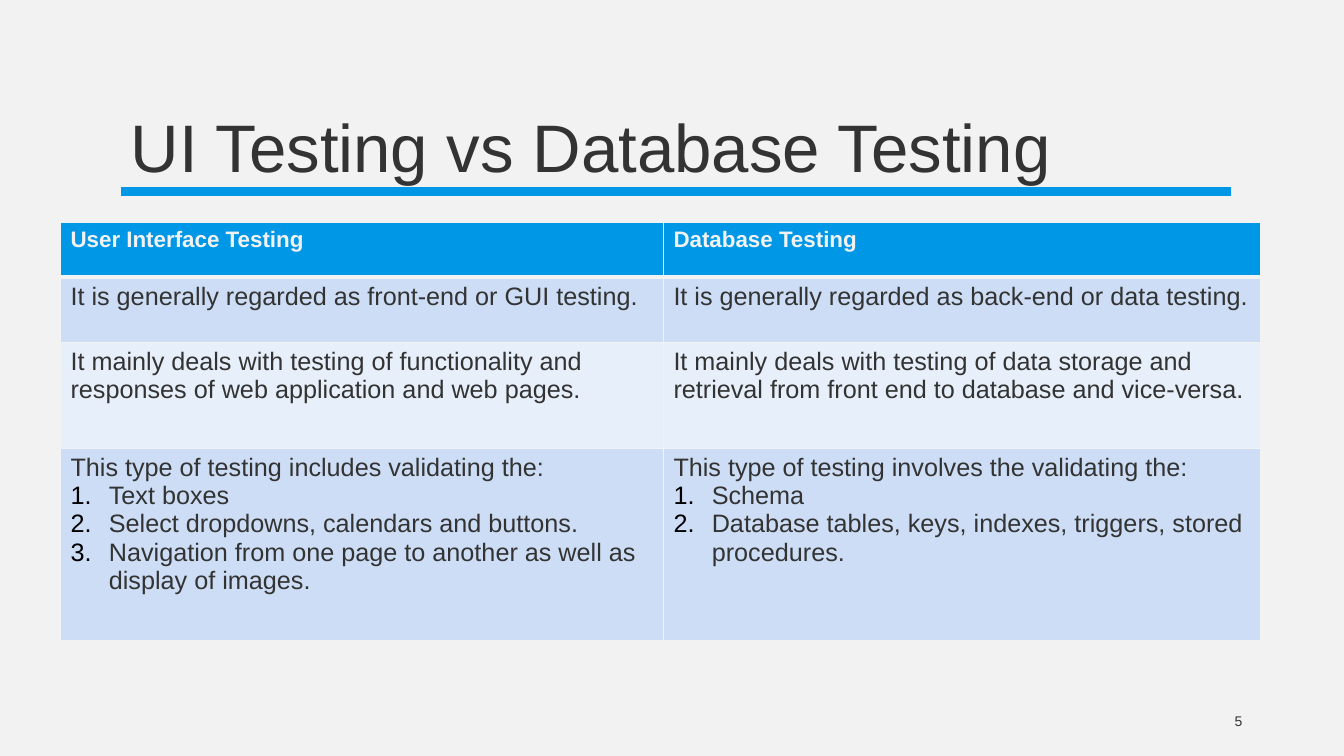
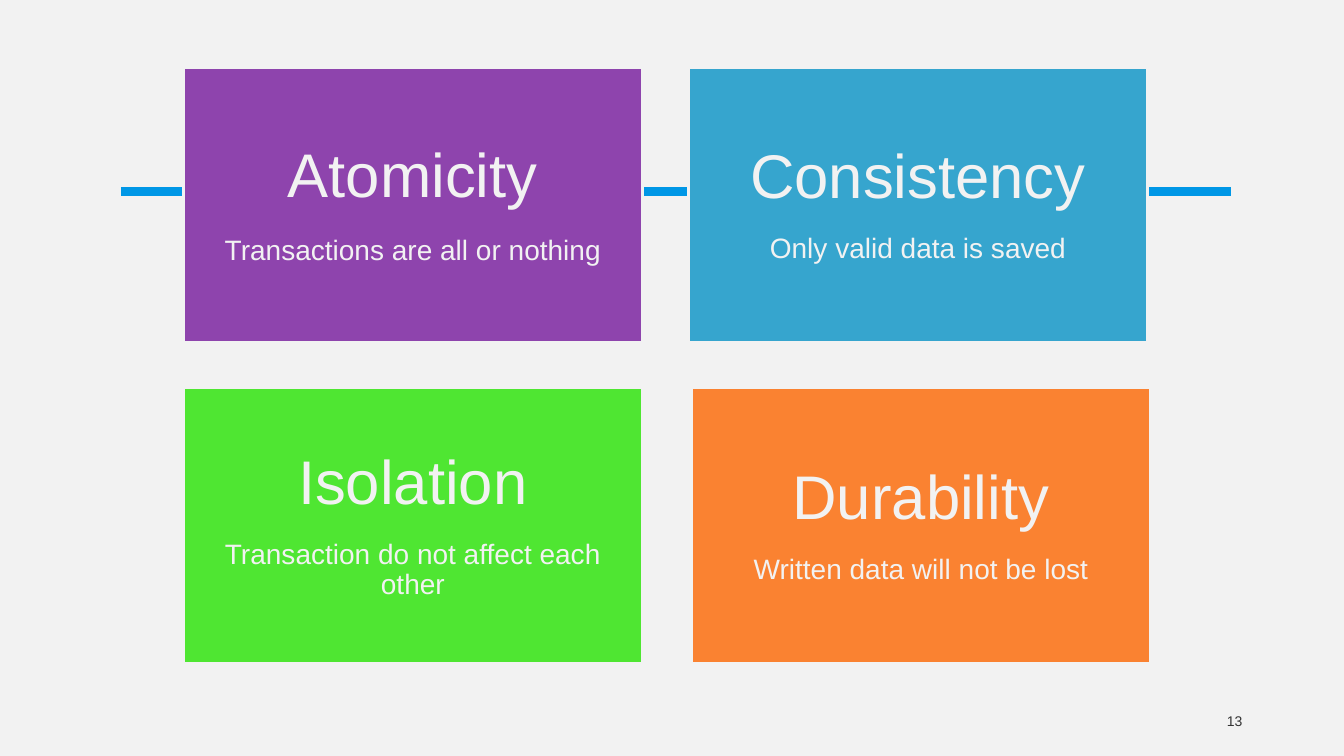
from dataclasses import dataclass
from lxml import etree
from pptx import Presentation
from pptx.dml.color import RGBColor
from pptx.enum.shapes import MSO_CONNECTOR, MSO_SHAPE
from pptx.enum.text import MSO_ANCHOR, PP_ALIGN
from pptx.oxml.ns import qn
from pptx.util import Inches, Pt

LEFT, CENTER, RIGHT = PP_ALIGN.LEFT, PP_ALIGN.CENTER, PP_ALIGN.RIGHT
MIDDLE, BOTTOM = MSO_ANCHOR.MIDDLE, MSO_ANCHOR.BOTTOM
RECT, STRAIGHT = MSO_SHAPE.RECTANGLE, MSO_CONNECTOR.STRAIGHT


@dataclass(frozen=True)
class Theme:
    """Colours, font and type sizes of the deck."""
    font: str = "Arial"
    paper: str = "F2F2F2"
    ink: str = "333333"
    mark: str = "000000"
    accent: str = "0097E6"
    bands: tuple = ("CCDDF5", "E7EFFA")
    title: int = 48
    tile: int = 44
    note: int = 20
    body: int = 18
    head: int = 16
    foot: int = 10


THEME = Theme()


def apply(item, formats):
    """Set each format value on the item."""
    for name, value in formats.items():
        setattr(item, name, value)


def paint(fill, color):
    """Give a fill one solid colour."""
    fill.solid()
    fill.fore_color.rgb = RGBColor.from_string(color)


def write(para, text, size, color, bold=False, **formats):
    """Put one styled run in a paragraph."""
    apply(para, formats)
    run = para.add_run()
    run.text = text
    apply(run.font, {"name": THEME.font, "size": Pt(size), "bold": bold})
    run.font.color.rgb = RGBColor.from_string(color)


def label(slide, box, text, size, anchor, **formats):
    """Add a wrapped line of text in a box."""
    frame = slide.shapes.add_textbox(*map(Inches, box)).text_frame
    apply(frame, {"word_wrap": True, "vertical_anchor": anchor})
    write(frame.paragraphs[0], text, size, THEME.ink, **formats)


def base(deck, number):
    """Add a slide with its background, rule and page number."""
    slide = deck.slides.add_slide(deck.slide_layouts[6])
    paint(slide.background.fill, THEME.paper)
    ends = map(Inches, (1.2, 1.9, 12.21, 1.9))
    rule = slide.shapes.add_connector(STRAIGHT, *ends)
    rule.line.width = Pt(6)
    rule.line.color.rgb = RGBColor.from_string(THEME.accent)
    etree.SubElement(rule._element.spPr, qn("a:effectLst"))
    label(slide, (9.42, 6.95, 3, 0.4), number, THEME.foot, MIDDLE, alignment=RIGHT)
    return slide


def solid(parent, tag, color):
    """Append a colour under a new tag."""
    node = etree.SubElement(parent, qn(tag))
    etree.SubElement(node, qn("a:srgbClr"), val=color)


def border(cell, top, bottom):
    """Draw the four edges of a cell."""
    props = cell._tc.get_or_add_tcPr()
    for side, width in {"L": 1, "R": 1, "T": top, "B": bottom}.items():
        edge = etree.SubElement(props, qn("a:ln" + side), w=str(Pt(width)))
        solid(edge, "a:solidFill", THEME.paper)


def count(para):
    """Number a paragraph with a hanging indent."""
    props = para._p.get_or_add_pPr()
    apply_to = {"marL": Inches(0.38), "indent": -Inches(0.38)}
    for name, value in apply_to.items():
        props.set(name, str(value))
    solid(props, "a:buClr", THEME.mark)
    etree.SubElement(props, qn("a:buFont"), typeface=THEME.font)
    etree.SubElement(props, qn("a:buAutoNum"), type="arabicPeriod")


def fill_cell(cell, lines, row):
    """Style one cell and write its lines, numbering all but the first."""
    head = row == 0
    border(cell, 3 if row == 1 else 1, 3 if head else 1)
    paint(cell.fill, THEME.accent if head else THEME.bands[(row - 1) % 2])
    size = THEME.head if head else THEME.body
    color = THEME.paper if head else THEME.ink
    for index, text in enumerate(lines):
        para = cell.text_frame.add_paragraph() if index else cell.text_frame.paragraphs[0]
        if index:
            count(para)
        write(para, text, size, color, bold=head, alignment=LEFT)


def grid(slide, left, top, widths, heights, rows):
    """Build the table from column widths and row heights."""
    box = map(Inches, (left, top, sum(widths), sum(heights)))
    table = slide.shapes.add_table(len(heights), len(widths), *box).table
    for column, width in zip(table.columns, widths):
        column.width = Inches(width)
    for row, height in zip(table.rows, heights):
        row.height = Inches(height)
    for r, row in enumerate(rows):
        for c, lines in enumerate(row):
            fill_cell(table.cell(r, c), lines, r)


def tile(slide, box, color, name, note, pitch):
    """Draw a coloured tile with a name and a note."""
    shape = slide.shapes.add_shape(RECT, *map(Inches, box))
    shape.shadow.inherit = False
    paint(shape.fill, color)
    paint(shape.line.fill, THEME.paper)
    shape.line.width = Pt(2)
    frame = shape.text_frame
    apply(frame, {"word_wrap": True, "vertical_anchor": MIDDLE})
    apply(frame, {"margin_" + side: Inches(0.18)
                  for side in ("left", "top", "right", "bottom")})
    shared = {"alignment": CENTER, "space_after": Pt(16)}
    write(frame.paragraphs[0], name, THEME.tile, THEME.paper, line_spacing=0.9, **shared)
    write(frame.add_paragraph(), note, THEME.note, THEME.paper, line_spacing=pitch, **shared)


def tiles(slide, left, top, items):
    """Lay the tiles out two to a row."""
    wide, high, gap = 4.55, 2.73, 0.45
    for index, (color, name, note, pitch, shift) in enumerate(items):
        row, column = divmod(index, 2)
        x = left + column * 5.01 + shift
        tile(slide, (x, top + row * (high + gap), wide, high), color, name, note, pitch)


ROWS = [
    (["User Interface Testing"], ["Database Testing"]),
    (["It is generally regarded as front-end or GUI testing."],
     ["It is generally regarded as back-end or data testing."]),
    (["It mainly deals with testing of functionality and responses of web "
      "application and web pages."],
     ["It mainly deals with testing of data storage and retrieval from front end "
      "to database and vice-versa."]),
    (["This type of testing includes validating the:", "Text boxes",
      "Select dropdowns, calendars and buttons.",
      "Navigation from one page to another as well as display of images."],
     ["This type of testing involves the validating the:", "Schema",
      "Database tables, keys, indexes, triggers, stored procedures."]),
]
ACID = [
    ("8E44AD", "Atomicity", "Transactions are all or nothing", 1.0, 0),
    ("36A5CE", "Consistency", "Only valid data is saved", 0.9, 0),
    ("4FE632", "Isolation", "Transaction do not affect each other", 0.9, 0),
    ("FA8231", "Durability", "Written data will not be lost", 0.9, 0.03),
]


def main():
    """Build and save the deck."""
    deck = Presentation()
    apply(deck, {"slide_width": Inches(13.33), "slide_height": Inches(7.5)})
    versus = base(deck, "5")
    label(versus, (1.2, 0.31, 11, 1.59), "UI Testing vs Database Testing",
          THEME.title, BOTTOM, line_spacing=0.85)
    grid(versus, 0.6, 2.21, (5.98, 5.92), (0.54, 0.65, 1.05, 1.91), ROWS)
    tiles(base(deck, "13"), 1.82, 0.67, ACID)
    deck.save("out.pptx")


main()
